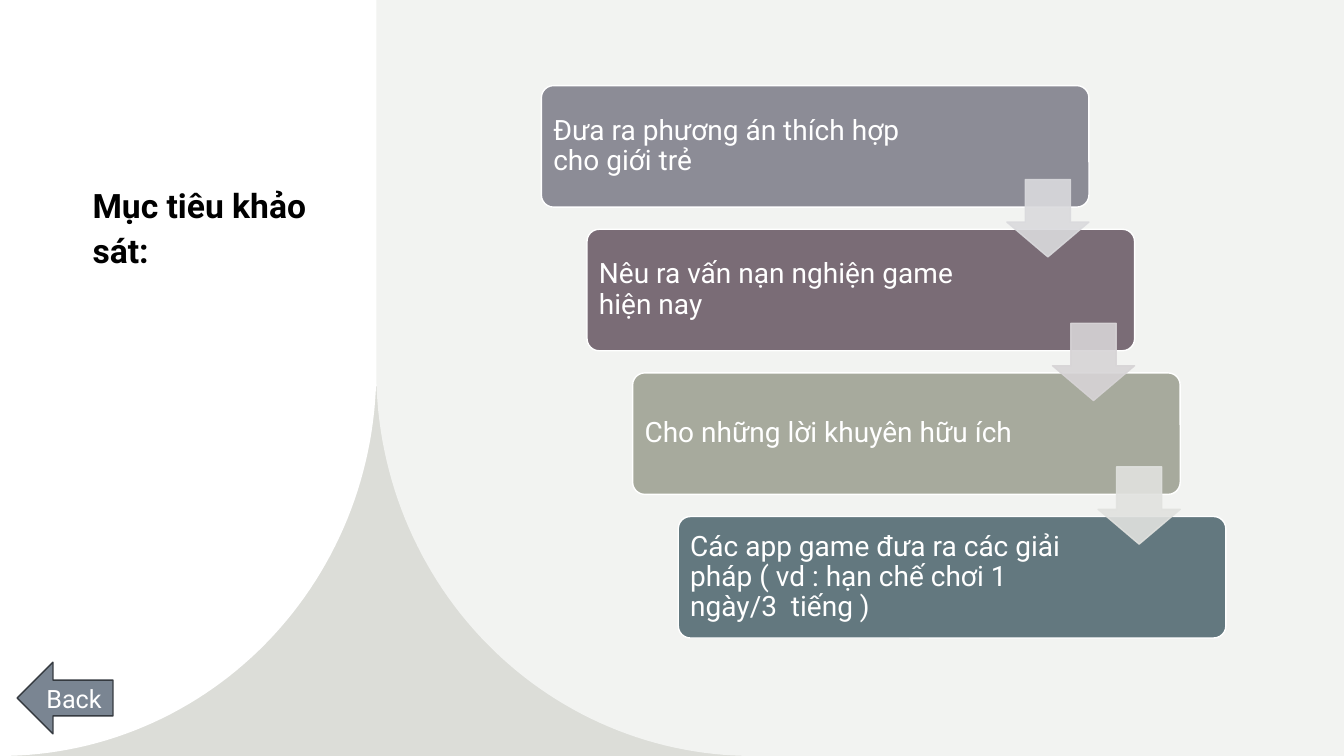
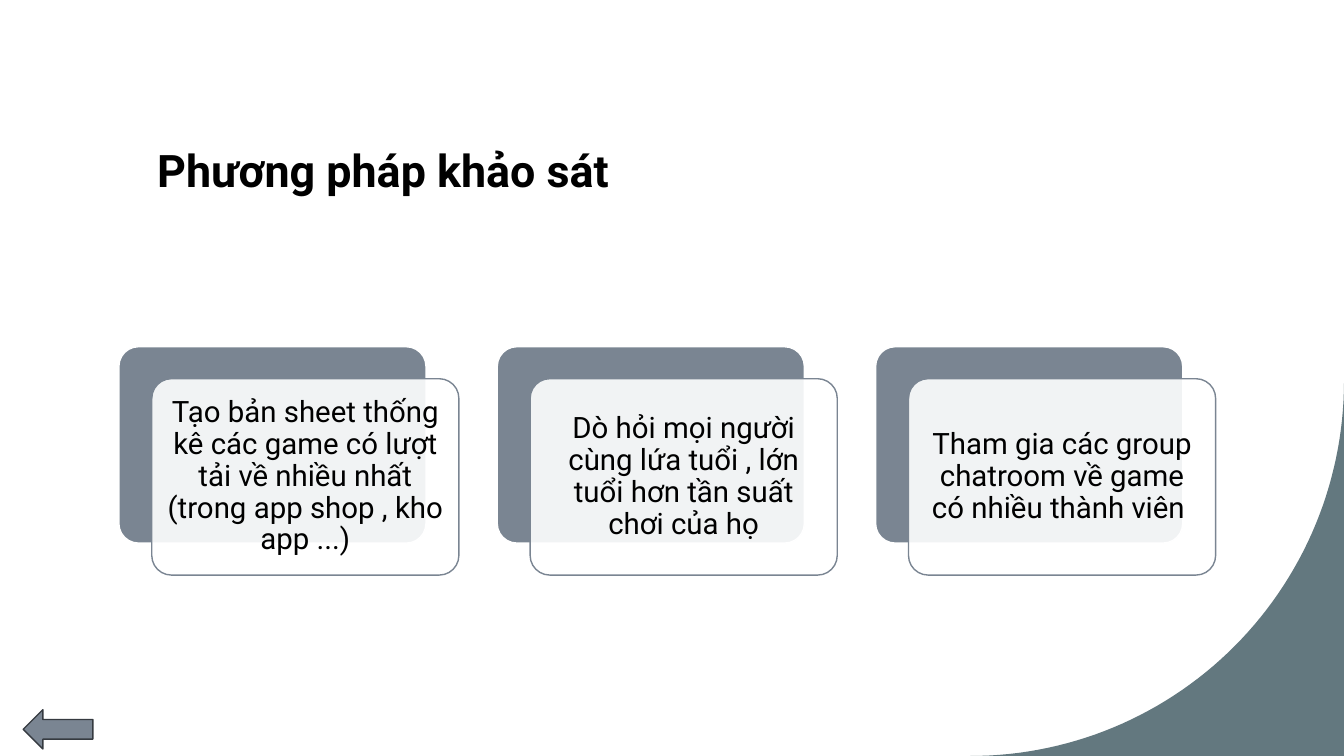
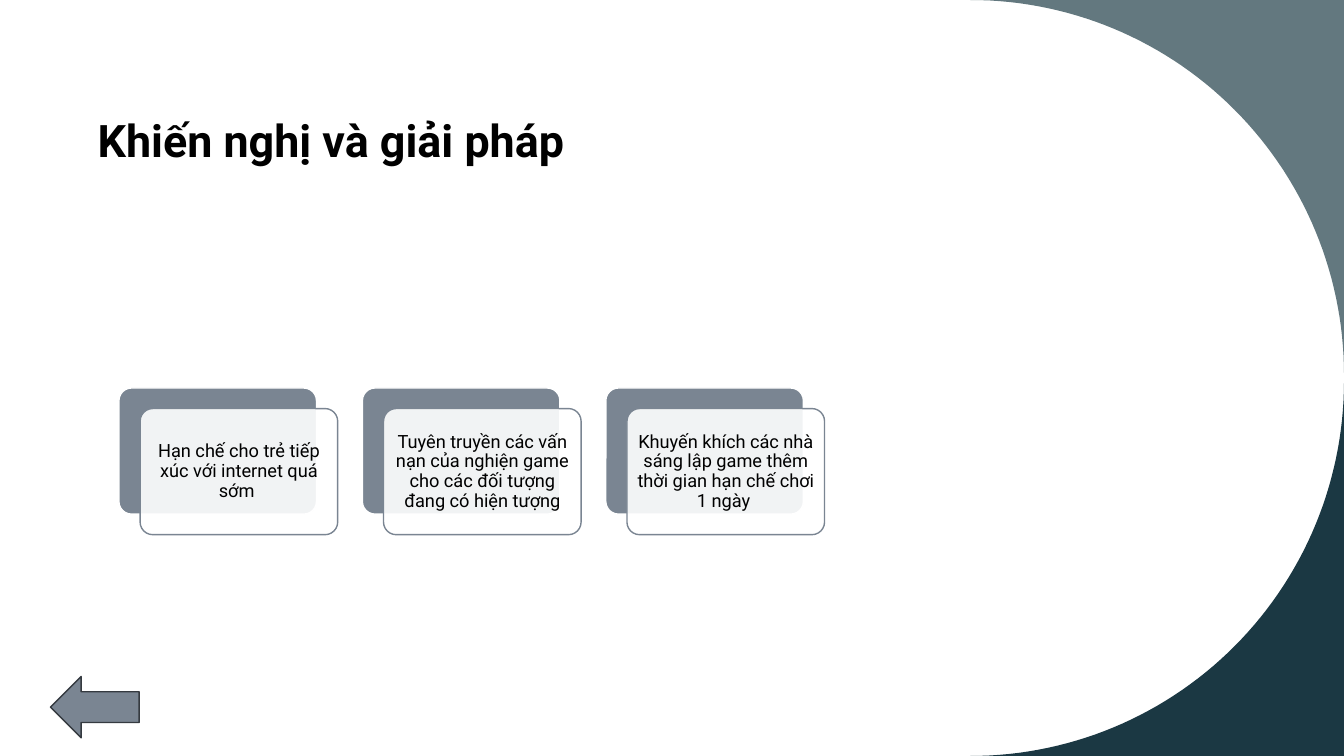
import math
from dataclasses import dataclass

import pptx
import pptx.util
import pptx.dml.color
import pptx.enum.shapes
import pptx.enum.text
import pptx.oxml.ns
import lxml.etree

SHAPE = pptx.enum.shapes.MSO_SHAPE
ANCHOR = pptx.enum.text.MSO_ANCHOR
ALIGN = pptx.enum.text.PP_ALIGN
Pt = pptx.util.Pt
WIDTH = pptx.util.Inches(13.33)
HEIGHT = pptx.util.Inches(7.5)


@dataclass(frozen=True)
class Theme:
    """Colours, font and type sizes of the deck."""
    font: str = "Roboto"
    white: str = "FFFFFF"
    black: str = "000000"
    band: str = "DCDDD8"
    panel: str = "F2F3F1"
    teal: str = "63787F"
    navy: str = "1B3843"
    slate: str = "7A8592"
    outline: str = "353A40"
    steps: tuple = ("8C8C96", "7A6C76", "A7AA9D", "63787F")
    links: tuple = ("DADADD", "D7D4D6", "E1E2DF")
    title: int = 32
    side_title: int = 24
    step: int = 20
    card: int = 21
    small_card: int = 13
    button: int = 18
    opacity: int = 90


@dataclass(frozen=True)
class Box:
    """A region in percent of the slide's width and height."""
    x: float
    y: float
    w: float
    h: float

    def inner(self, x, y, w, h):
        """Return a sub-region given as shares of this one."""
        return Box(self.x + x * self.w, self.y + y * self.h, w * self.w, h * self.h)

    def emu(self):
        """Return left, top, width and height in EMU."""
        return (*to_emu(self.x, self.y), *to_emu(self.w, self.h))


THEME = Theme()


def to_emu(x, y):
    """Turn percentages of the slide into EMU."""
    return round(x * WIDTH / 100), round(y * HEIGHT / 100)


def paint(fill, props, colour, opacity=100):
    """Give a fill a solid colour; props is the element that holds it."""
    fill.solid()
    fill.fore_color.rgb = pptx.dml.color.RGBColor.from_string(colour)
    if opacity < 100:
        qn = pptx.oxml.ns.qn
        clr = props.find(qn("a:solidFill")).find(qn("a:srgbClr"))
        lxml.etree.SubElement(clr, qn("a:alpha")).set("val", str(opacity * 1000))


def style(sp, fill, line=None, opacity=100, line_opacity=100):
    """Set fill and outline of a shape and drop its shadow."""
    sp.shadow.inherit = False
    props = sp.element.spPr
    paint(sp.fill, props, fill, opacity)
    if line:
        sp.line.width = Pt(1)
        paint(sp.line.fill, props.find(pptx.oxml.ns.qn("a:ln")), line, line_opacity)
    else:
        sp.line.fill.background()
    return sp


def add_shape(slide, kind, box, adjust=(), **look):
    """Add a styled preset shape."""
    sp = slide.shapes.add_shape(kind, *box.emu())
    for i, value in enumerate(adjust):
        sp.adjustments[i] = value
    return style(sp, **look)


def write(sp, text, size, colour, bold=False, align=ALIGN.LEFT, anchor=ANCHOR.MIDDLE,
          spacing=None, insets=None):
    """Set and format the text of a shape; insets are left, top, right, bottom in points."""
    tf = sp.text_frame
    tf.text = text
    tf.word_wrap = True
    tf.vertical_anchor = anchor
    if insets:
        tf.margin_left, tf.margin_top, tf.margin_right, tf.margin_bottom = map(Pt, insets)
    p = tf.paragraphs[0]
    p.alignment = align
    if spacing:
        p.line_spacing = spacing
    font = p.runs[0].font
    font.name, font.size, font.bold = THEME.font, Pt(size), bold
    font.color.rgb = pptx.dml.color.RGBColor.from_string(colour)


def add_title(slide, box, text, size=THEME.title, **layout):
    """Add the bold black title of a slide."""
    sp = slide.shapes.add_textbox(*box.emu())
    write(sp, text, size, THEME.black, bold=True, **layout)


def arc(cx, cy, rx, ry, start, end, steps=60):
    """List points along an elliptical arc, angles in degrees."""
    angles = (math.radians(start + (end - start) * i / steps) for i in range(steps + 1))
    return [(cx + rx * math.cos(a), cy + ry * math.sin(a)) for a in angles]


def add_outline(slide, points, fill):
    """Add a filled closed outline through points in percent."""
    first, *rest = [to_emu(*pt) for pt in points]
    fb = slide.shapes.build_freeform(*first)
    fb.add_line_segments(rest, close=True)
    style(fb.convert_to_shape(), fill)


def add_corner(slide, box, fill, top=False):
    """Fill the right-hand corner left outside a quarter ellipse."""
    right, bottom = box.x + box.w, box.y + box.h
    corner_y, centre_y, end = (box.y, bottom, -90) if top else (bottom, box.y, 90)
    curve = arc(box.x, centre_y, box.w, box.h, 0, end)
    add_outline(slide, [(right, corner_y)] + curve, fill)


def add_split_background(slide, split, radius):
    """Draw two panels that curve away from each other over a band."""
    centre_y = 100 - radius
    add_shape(slide, SHAPE.RECTANGLE, Box(0, centre_y + 2, 2 * split, radius - 2), fill=THEME.band)
    left = [(0, 0), (split, 0)] + arc(0, centre_y, split, radius, 0, 90)
    right = [(100, 0), (split, 0)] + arc(2 * split, centre_y, split, radius, 180, 90) + [(100, 100)]
    add_outline(slide, left, THEME.white)
    add_outline(slide, right, THEME.panel)


def add_back_arrow(slide, box, text=None):
    """Add the arrow that points back, with an optional label."""
    sp = add_shape(slide, SHAPE.LEFT_ARROW, box, fill=THEME.slate, line=THEME.outline)
    if text:
        write(sp, text, THEME.button, THEME.white, align=ALIGN.CENTER)


def add_staircase(slide, box, texts):
    """Place descending step cards joined by down arrows."""
    w, h = 0.8, 0.22
    dx, dy = ((1 - size) / (len(texts) - 1) for size in (w, h))
    for i, (text, colour) in enumerate(zip(texts, THEME.steps)):
        sp = add_shape(slide, SHAPE.ROUNDED_RECTANGLE, box.inner(i * dx, i * dy, w, h), [0.1],
                       fill=colour, line=THEME.white)
        write(sp, text, THEME.step, THEME.white, spacing=0.9, insets=(6, 6, 101, 6))
    aw, ah, drop = 0.12, 0.14, 0.17
    for i, colour in enumerate(THEME.links):
        add_shape(slide, SHAPE.DOWN_ARROW, box.inner(i * dx + w - aw, i * dy + drop, aw, ah),
                  [0.55, 0.45], fill=colour, line=colour, opacity=THEME.opacity,
                  line_opacity=THEME.opacity)


def add_layered_cards(slide, box, texts, size, inset):
    """Place a row of text cards, each over an offset backing card."""
    w, h, dx = 0.28, 0.86, 0.03
    pitch = (1 - w - dx) / (len(texts) - 1)
    for i, text in enumerate(texts):
        add_shape(slide, SHAPE.ROUNDED_RECTANGLE, box.inner(i * pitch, 0, w, h), [0.1],
                  fill=THEME.slate, line=THEME.white)
        front = add_shape(slide, SHAPE.ROUNDED_RECTANGLE, box.inner(i * pitch + dx, 1 - h, w, h),
                          [0.1], fill=THEME.white, line=THEME.slate, opacity=THEME.opacity)
        write(front, text, size, THEME.black, align=ALIGN.CENTER, spacing=0.9,
              insets=[inset] * 4)


def goals_slide(slide):
    """Build the slide on the goals of the survey."""
    add_split_background(slide, 28, 50.9)
    add_title(slide, Box(6.15, 23.33, 19.73, 36.4), "Mục tiêu khảo sát:", THEME.side_title,
              anchor=ANCHOR.TOP, spacing=1.1)
    add_staircase(slide, Box(40.28, 11.33, 50.93, 73.07), [
        "Đưa ra phương án thích hợp cho giới trẻ",
        "Nêu ra vấn nạn nghiện game hiện nay",
        "Cho những lời khuyên hữu ích",
        "Các app game đưa ra các giải pháp ( vd : hạn chế chơi 1 ngày/3  tiếng )",
    ])
    add_back_arrow(slide, Box(1.28, 87.6, 7.13, 9.47), "Back")


def methods_slide(slide):
    """Build the slide on the survey methods."""
    add_corner(slide, Box(72.2, 50.4, 27.8, 49.6), THEME.teal)
    add_title(slide, Box(3.45, 4.67, 81.6, 22), "Phương pháp khảo sát", anchor=ANCHOR.BOTTOM,
              spacing=1.1, insets=(79.2, 3.6, 7.2, 3.6))
    add_layered_cards(slide, Box(8.85, 45.87, 81.6, 30.2), [
        "Tạo bản sheet thống kê các game có lượt tải về nhiều nhất (trong app shop , kho app ...)",
        "Dò hỏi mọi người cùng lứa tuổi , lớn tuổi hơn tần suất chơi của họ",
        "Tham gia các group chatroom về game có nhiều thành viên ",
    ], THEME.card, 6)
    add_back_arrow(slide, Box(1.73, 93.87, 5.18, 5.2))


def solutions_slide(slide):
    """Build the slide on proposals and solutions."""
    add_title(slide, Box(6.53, 14.27, 48.15, 8.53), "Khiến nghị và giải pháp",
              anchor=ANCHOR.TOP)
    add_corner(slide, Box(72.2, 0, 27.8, 49.6), THEME.teal, top=True)
    add_corner(slide, Box(72.2, 50.4, 27.8, 49.6), THEME.navy)
    add_layered_cards(slide, Box(8.85, 51.33, 52.5, 19.4), [
        "Hạn chế cho trẻ tiếp xúc với internet quá sớm ",
        "Tuyên truyền các vấn nạn của nghiện game cho các đối tượng đang có hiện tượng",
        "Khuyến khích các nhà sáng lập game thêm thời gian hạn chế chơi 1 ngày ",
    ], THEME.small_card, 3.5)
    add_back_arrow(slide, Box(3.75, 89.47, 6.6, 8.13))


def main():
    """Build and save the deck."""
    prs = pptx.Presentation()
    prs.slide_width, prs.slide_height = WIDTH, HEIGHT
    for build in (goals_slide, methods_slide, solutions_slide):
        build(prs.slides.add_slide(prs.slide_layouts[6]))
    prs.save("out.pptx")


if __name__ == "__main__":
    main()
